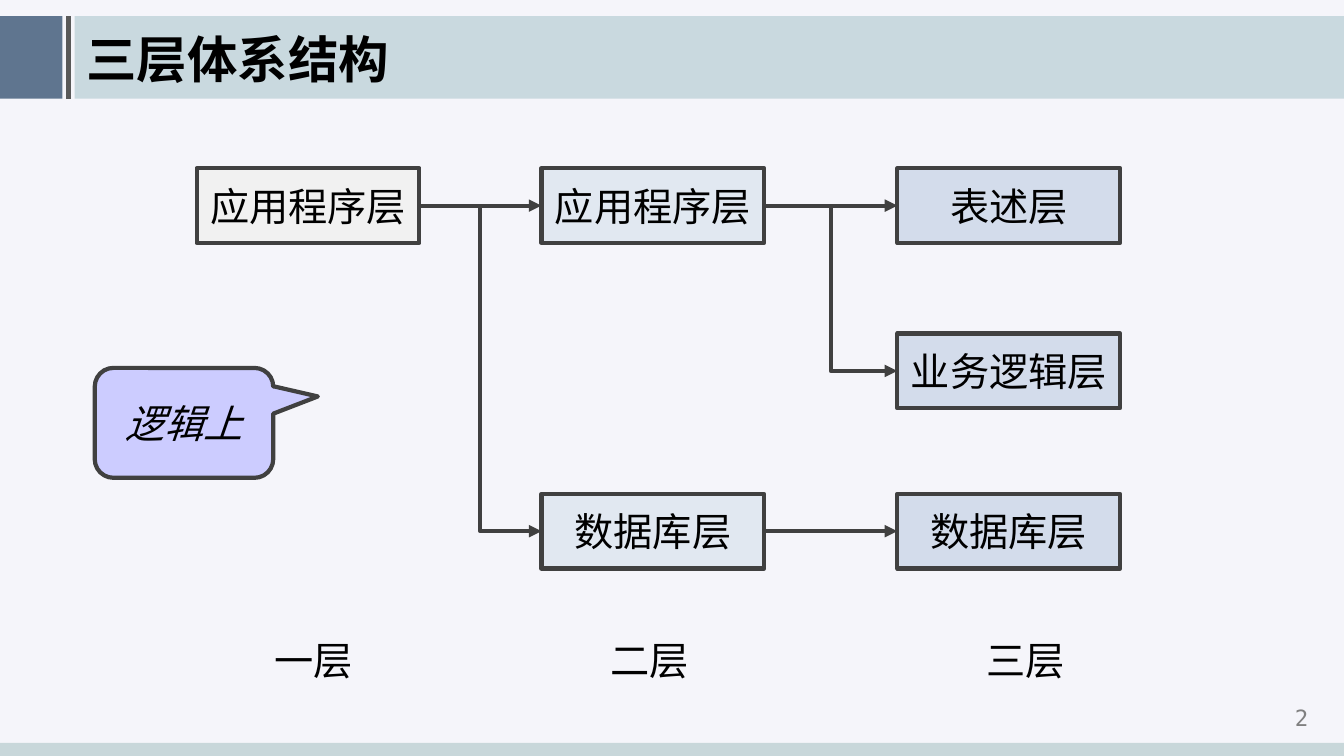
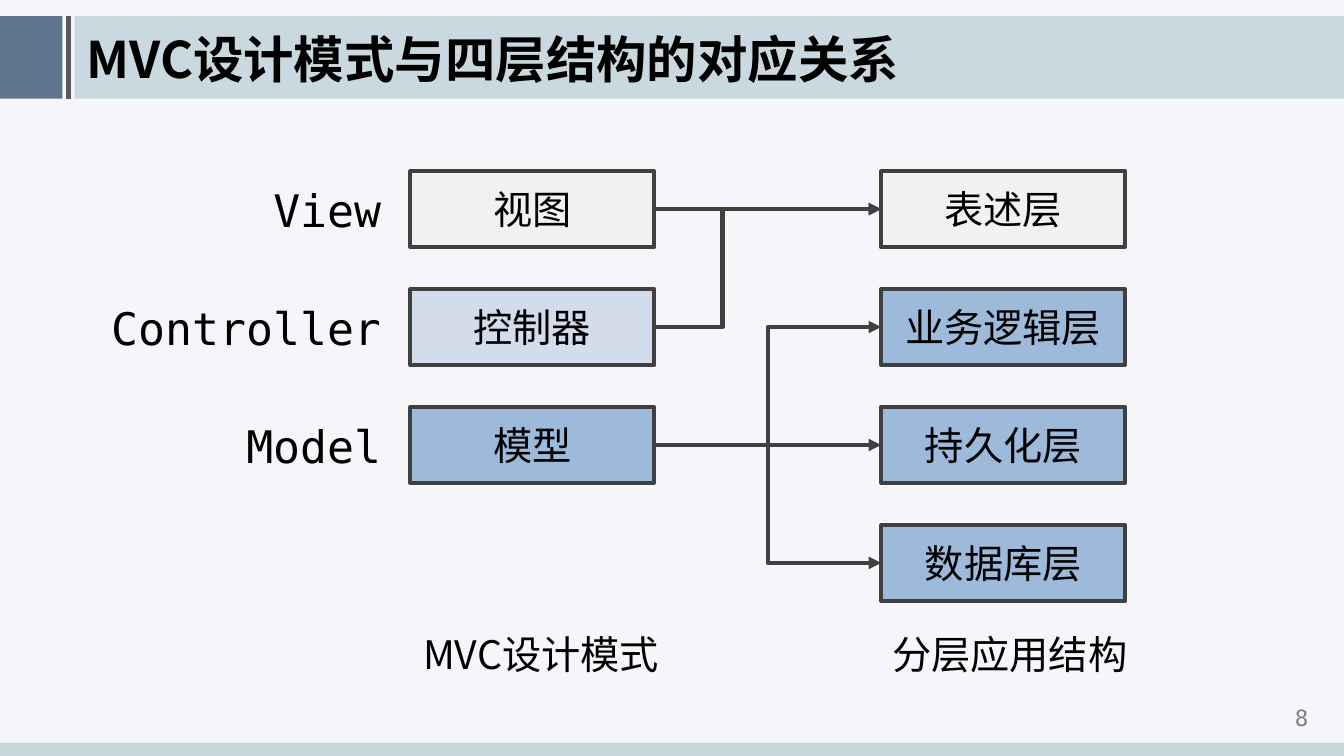
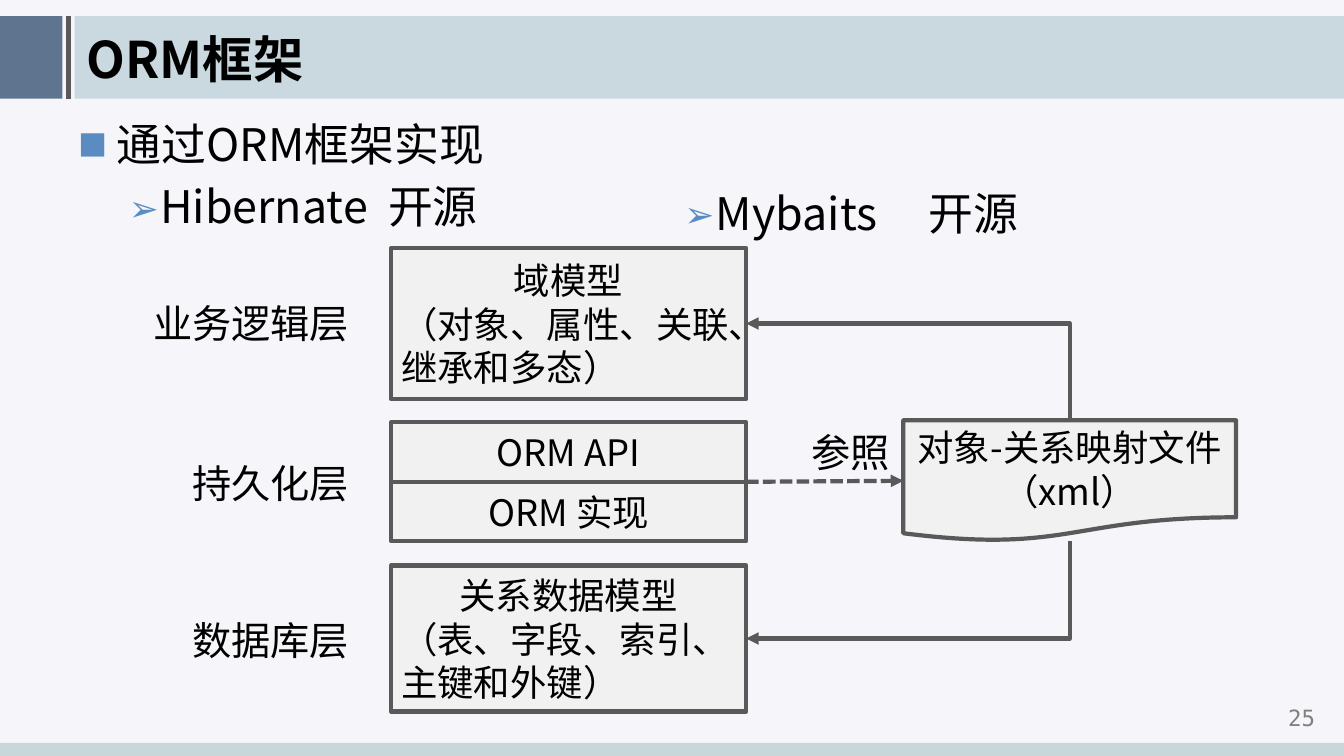
from lxml.etree import SubElement
from pptx import Presentation
from pptx.dml.color import RGBColor
from pptx.enum.dml import MSO_LINE
from pptx.enum.shapes import MSO_CONNECTOR, MSO_SHAPE
from pptx.enum.text import MSO_ANCHOR, PP_ALIGN
from pptx.oxml.ns import qn
from pptx.util import Inches, Pt

# Shared look
CJK, MONO = "Noto Sans CJK SC", "DejaVu Sans Mono"
BACK, BAND, BLOCK, FOOT = "F5F5FA", "6699A1", "204062", "C8D7DA"
BLACK, GREY, DARK, LINE = "000000", "808080", "595959", "404040"
PALE, ICE, MIST, BLUE = "F1F1F1", "E1E8F1", "D3DCEB", "9DBADA"
LILAC, BULLET = "CCCCFF", "5B8CC1"
LEFT, CENTER, RIGHT = PP_ALIGN.LEFT, PP_ALIGN.CENTER, PP_ALIGN.RIGHT
TOP_SIDE, LEFT_SIDE, BOTTOM_SIDE, RIGHT_SIDE = range(4)


def color(value):
    return RGBColor.from_string(value)


def add_run(p, text, size=28, font=CJK, fg=BLACK, **style):
    r = p.add_run()
    r.text = text
    formats = {"name": font, "size": Pt(size), **style}
    for key, value in formats.items():
        setattr(r.font, key, value)
    r.font.color.rgb = color(fg)
    SubElement(r.font._element, qn("a:ea")).set("typeface", font)
    return r


def set_frame(sp, anchor=MSO_ANCHOR.MIDDLE):
    tf = sp.text_frame
    tf.word_wrap = True
    tf.vertical_anchor = anchor
    return tf


def write(sp, lines, **style):
    """Fill a shape with (text, alignment) lines."""
    tf = set_frame(sp)
    for i, (text, align) in enumerate(lines):
        p = tf.add_paragraph() if i else tf.paragraphs[0]
        p.alignment = align
        add_run(p, text, **style)


def add_label(s, text, x, y, w, h=0.57, align=RIGHT, **style):
    sp = s.shapes.add_textbox(Inches(x), Inches(y), Inches(w), Inches(h))
    write(sp, [(text, align)], **style)


def add_shape(s, kind, x, y, w, h, fill, line=None, alpha=None):
    sp = s.shapes.add_shape(kind, Inches(x), Inches(y), Inches(w), Inches(h))
    sp.shadow.inherit = False
    sp.fill.solid()
    sp.fill.fore_color.rgb = color(fill)
    if line:
        sp.line.color.rgb = color(line)
        sp.line.width = Pt(3)
    else:
        sp.line.fill.background()
    if alpha:
        tint = sp._element.spPr.find(".//" + qn("a:srgbClr"))
        SubElement(tint, qn("a:alpha")).set("val", str(alpha * 1000))
    return sp


def add_box(s, text, x, y, w, h, fill, line=LINE, kind=MSO_SHAPE.RECTANGLE,
            note=None, **style):
    sp = add_shape(s, kind, x, y, w, h, fill, line)
    lines = [(text, CENTER)] + ([(note, LEFT)] if note else [])
    write(sp, lines, **style)
    return sp


# Lines
def add_line(s, start, end, line=LINE, kind=MSO_CONNECTOR.STRAIGHT):
    c = s.shapes.add_connector(kind, *[Inches(v) for v in (*start, *end)])
    c.line.color.rgb = color(line)
    c.line.width = Pt(3)
    SubElement(c._element.spPr, qn("a:effectLst"))
    return c


def add_arrowhead(c, end="tailEnd"):
    ln = c._element.spPr.find(qn("a:ln"))
    SubElement(ln, qn("a:" + end)).set("type", "triangle")


def link(s, a, b, bent=False, turn=None):
    """Arrow from the right side of a to the left side of b."""
    kind = MSO_CONNECTOR.ELBOW if bent else MSO_CONNECTOR.STRAIGHT
    c = add_line(s, (0, 0), (0, 0), kind=kind)
    c.begin_connect(a, RIGHT_SIDE)
    c.end_connect(b, LEFT_SIDE)
    if turn:
        guides = c._element.spPr.find(qn("a:prstGeom")).find(qn("a:avLst"))
        guide = SubElement(guides, qn("a:gd"))
        guide.set("name", "adj1")
        guide.set("fmla", f"val {round(turn * 100000)}")
    add_arrowhead(c)


def link_corner(s, box, doc, side):
    """One-corner line joining box and doc, with the arrowhead at box."""
    c = add_line(s, (0, 0), (0, 0), DARK, MSO_CONNECTOR.ELBOW)
    c._element.spPr.find(qn("a:prstGeom")).set("prst", "bentConnector2")
    c.begin_connect(box, RIGHT_SIDE)
    c.end_connect(doc, side)
    add_arrowhead(c, "headEnd")


# Bulleted text: each item is (level, text, name gap in points)
def add_bullets(s, items, x, y, w, h):
    sp = s.shapes.add_textbox(Inches(x), Inches(y), Inches(w), Inches(h))
    tf = set_frame(sp, MSO_ANCHOR.TOP)
    levels = [("■", 0.38, 0.38, 65), ("➢", 0.81, 0.31, 80)]
    for i, (level, text, gap) in enumerate(items):
        p = tf.add_paragraph() if i else tf.paragraphs[0]
        if i:
            p.space_before = Pt(6)
        char, margin, hang, percent = levels[level]
        pPr = p._p.get_or_add_pPr()
        pPr.set("lvl", str(level))
        pPr.set("marL", str(Inches(margin)))
        pPr.set("indent", str(-Inches(hang)))
        tint = SubElement(SubElement(pPr, qn("a:buClr")), qn("a:srgbClr"))
        tint.set("val", BULLET)
        SubElement(pPr, qn("a:buSzPct")).set("val", str(percent * 1000))
        SubElement(pPr, qn("a:buFont")).set("typeface", CJK)
        SubElement(pPr, qn("a:buChar")).set("char", char)
        name, space, rest = text.partition(" ")
        add_run(p, name, 32)
        if space:
            r = add_run(p, space, 32)
            r.font._element.set("spc", str(gap * 100))
            add_run(p, rest, 32)


def new_slide(prs, title, number):
    s = prs.slides.add_slide(prs.slide_layouts[6])
    rect = MSO_SHAPE.RECTANGLE
    add_shape(s, rect, 0, 0.16, 0.62, 0.82, BLOCK, alpha=70)
    add_line(s, (0.68, 0.16), (0.68, 0.98), DARK)
    add_shape(s, rect, 0.74, 0.16, 12.59, 0.82, BAND, alpha=30)
    add_shape(s, rect, 0, 7.37, 13.33, 0.13, FOOT)
    add_label(s, str(number), 12.49, 6.96, 0.84, 0.31, CENTER,
              size=16, font=MONO, fg=GREY)
    add_label(s, title, 0.76, 0.21, 11.54, 0.73, LEFT, size=36, bold=True)
    return s


def three_tiers(prs):
    s = new_slide(prs, "三层体系结构", 2)
    top, mid, low = 1.67, 3.31, 4.9
    tiers = [
        (1.95, PALE, [("应用程序层", top)]),
        (5.37, ICE, [("应用程序层", top), ("数据库层", low)]),
        (8.9, MIST, [("表述层", top), ("业务逻辑层", mid), ("数据库层", low)]),
    ]
    (one,), (app, data), (view, logic, store) = [
        [add_box(s, text, x, y, 2.21, 0.74, fill) for text, y in boxes]
        for x, fill, boxes in tiers]
    for a, b, bent in [(one, app, False), (one, data, True),
                       (app, view, False), (app, logic, True),
                       (data, store, False)]:
        link(s, a, b, bent)
    for text, x in [("一层", 2.39), ("二层", 5.72), ("三层", 9.45)]:
        add_label(s, text, x, 6.26, 1.21)
    callout = add_box(s, "逻辑上", 0.94, 3.65, 1.77, 1.09, LILAC,
                      kind=MSO_SHAPE.ROUNDED_RECTANGULAR_CALLOUT, italic=True)
    for i, value in enumerate((0.75, -0.24, 0.17)):
        callout.adjustments[i] = value


def mvc_layers(prs):
    s = new_slide(prs, "MVC设计模式与四层结构的对应关系", 8)
    top, pitch = 1.7, 1.17
    columns = [
        (4.07, [("视图", PALE), ("控制器", MIST), ("模型", BLUE)]),
        (8.74, [("表述层", PALE), ("业务逻辑层", BLUE),
                ("持久化层", BLUE), ("数据库层", BLUE)]),
    ]
    (view, control, model), (show, logic, persist, data) = [
        [add_box(s, text, x, top + i * pitch, 2.42, 0.75, fill)
         for i, (text, fill) in enumerate(boxes)]
        for x, boxes in columns]
    link(s, view, show)
    link(s, model, persist)
    link(s, model, data, bent=True)
    link(s, model, logic, bent=True)
    link(s, control, show, bent=True, turn=0.3)
    for text, x in [("MVC设计模式", 3.91), ("分层应用结构", 8.56)]:
        add_label(s, text, x, 6.2, 2.91, align=CENTER)
    for i, text in enumerate(["View", "Controller", "Model"]):
        add_label(s, text, 0.97, top + 0.06 + i * pitch, 2.91, 0.64,
                  size=32, font=MONO)


def orm_framework(prs):
    s = new_slide(prs, "ORM框架", 25)
    add_bullets(s, [(0, "通过ORM框架实现", 0), (1, "Hibernate 开源", 7)],
                0.68, 1.11, 5.28, 1.3)
    add_bullets(s, [(1, "Mybaits 开源", 29)], 6.19, 1.79, 5.12, 0.64)

    # Stack of layers
    x, w = 3.88, 3.52
    stack = [
        ("域模型", 2.46, 1.5, "（对象、属性、关联、继承和多态）"),
        ("关系数据模型", 5.61, 1.45, "（表、字段、索引、主键和外键）"),
        ("ORM API", 4.19, 0.59, None),
        ("ORM 实现", 4.78, 0.59, None),
    ]
    domain, tables, *_ = [
        add_box(s, text, x, y, w, h, PALE, DARK, note=note, size=26)
        for text, y, h, note in stack]
    for text, y in [("业务逻辑层", 2.92), ("持久化层", 4.51), ("数据库层", 6.06)]:
        add_label(s, text, 1.18, y, 2.38)

    # Mapping file and its links
    doc = add_box(s, "对象-关系映射文件（xml）", 8.96, 4.17, 3.3, 1.2, PALE, DARK,
                  kind=MSO_SHAPE.FLOWCHART_DOCUMENT, size=26)
    link_corner(s, domain, doc, TOP_SIDE)
    link_corner(s, tables, doc, BOTTOM_SIDE)
    refer = add_line(s, (x + w, 4.78), (8.96, 4.77), DARK)
    refer.end_connect(doc, LEFT_SIDE)
    refer.line.dash_style = MSO_LINE.SQUARE_DOT
    add_arrowhead(refer)
    add_label(s, "参照", 7.69, 4.2, 1.49, align=CENTER)


def main():
    prs = Presentation()
    prs.slide_width, prs.slide_height = Inches(13.33), Inches(7.5)
    fill = prs.slide_master.background.fill
    fill.solid()
    fill.fore_color.rgb = color(BACK)
    three_tiers(prs)
    mvc_layers(prs)
    orm_framework(prs)
    prs.save("out.pptx")


if __name__ == "__main__":
    main()
